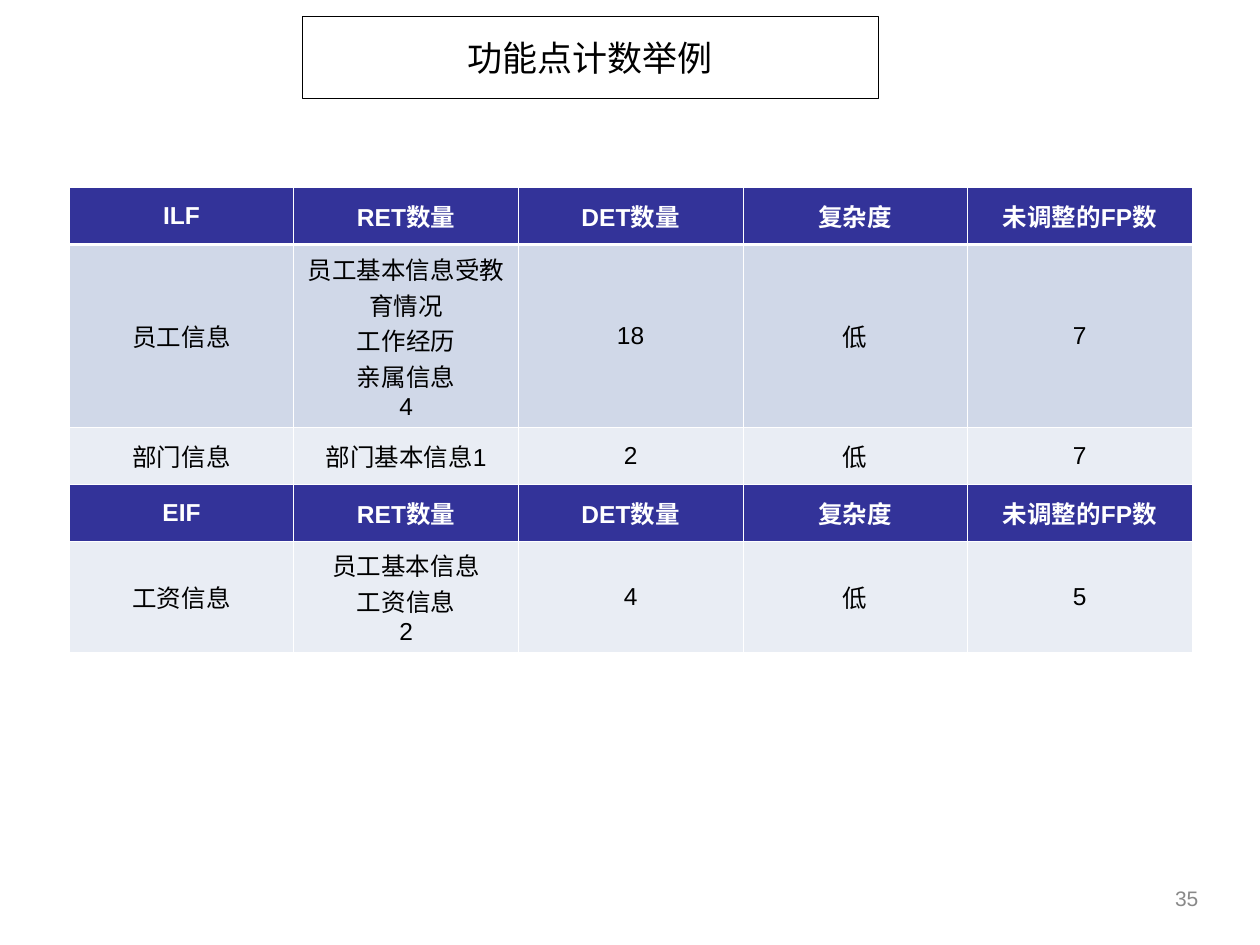
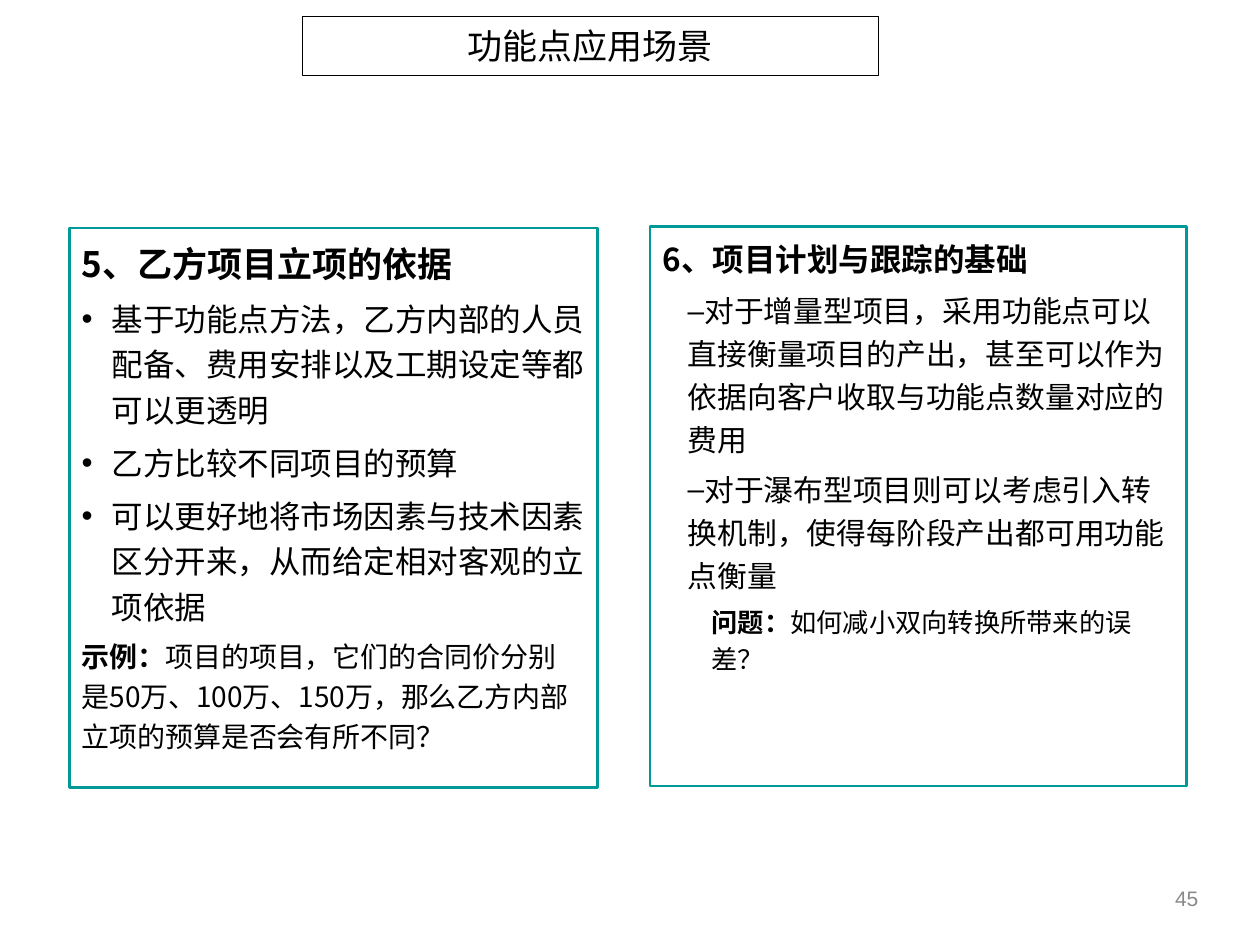
from lxml import etree
from pptx import Presentation
from pptx.dml.color import RGBColor
from pptx.enum.shapes import MSO_SHAPE as Shape
from pptx.enum.text import MSO_ANCHOR as Anchor, MSO_AUTO_SIZE as AutoSize, PP_ALIGN as Align
from pptx.oxml.ns import qn
from pptx.util import Inches, Pt

CJK, LATIN = "Noto Sans CJK SC", "Arial"
BLACK, WHITE, GREY = "000000", "FFFFFF", "898989"
NAVY, BLUE, PALE, TEAL = "333399", "D0D8E8", "E9EDF4", "009999"


def color(hex_text):
    return RGBColor.from_string(hex_text)


def add_span(para, text, size, ink=BLACK, name=CJK, bold=False):
    span = para.add_run()
    span.text = text
    for key, value in {"size": Pt(size), "name": name, "bold": bold}.items():
        setattr(span.font, key, value)
    span.font.color.rgb = color(ink)
    east_asian = etree.SubElement(span.font._element, qn("a:ea"))
    east_asian.set("typeface", CJK)


deck = Presentation()
deck.slide_width, deck.slide_height = Inches(10), Inches(7.5)

# Framed title and page number on both slides
pages = []
for title_text, title_height, number in [
    ("功能点计数举例", 0.65, "35"),
    ("功能点应用场景", 0.47, "45"),
]:
    page = deck.slides.add_slide(deck.slide_layouts[5])
    pages.append(page)
    title = page.shapes.title
    title.left, title.top = Inches(2.4), Inches(0.13)
    title.width, title.height = Inches(4.57), Inches(title_height)
    title.fill.solid()
    title.fill.fore_color.rgb = color(WHITE)
    title.line.color.rgb = color(BLACK)
    title.line.width = Pt(0.75)
    number_box = page.shapes.add_textbox(Inches(7.28), Inches(6.87), Inches(2.33), Inches(0.52))
    for box, text, align, style in [
        (title, title_text, Align.CENTER, {"size": 20}),
        (number_box, number, Align.RIGHT, {"size": 12, "ink": GREY, "name": LATIN}),
    ]:
        frame = box.text_frame
        frame.auto_size = AutoSize.NONE
        frame.word_wrap = True
        frame.vertical_anchor = Anchor.MIDDLE
        frame.paragraphs[0].alignment = align
        add_span(frame.paragraphs[0], text, **style)
table_page, scenario_page = pages

# Function point table: fill, height and cell texts of each row
headings = ["RET数量", "DET数量", "复杂度", "未调整的FP数"]
rows = [
    (NAVY, 0.45, ["ILF", *headings]),
    (BLUE, 1.27, ["员工信息", "员工基本信息受教育情况\n工作经历\n亲属信息\n4", "18", "低", "7"]),
    (PALE, 0.45, ["部门信息", "部门基本信息1", "2", "低", "7"]),
    (NAVY, 0.45, ["EIF", *headings]),
    (PALE, 0.8, ["工资信息", "员工基本信息\n工资信息\n2", "4", "低", "5"]),
]
table_width = Inches(8.91)
table = table_page.shapes.add_table(
    len(rows), 5, Inches(0.55), Inches(1.49), table_width, Inches(3.42)).table
for column in table.columns:
    column.width = table_width // 5
for row_index, (fill, height, texts) in enumerate(rows):
    table.rows[row_index].height = Inches(height)
    is_header = fill == NAVY
    for column_index, text in enumerate(texts):
        cell = table.cell(row_index, column_index)
        cell.vertical_anchor = Anchor.MIDDLE
        for line_index, line in enumerate(text.split("\n")):
            frame = cell.text_frame
            para = frame.add_paragraph() if line_index else frame.paragraphs[0]
            para.alignment = Align.CENTER
            add_span(para, line, 14, WHITE if is_header else BLACK, LATIN, is_header)
        # White borders, thicker under the first row
        cell_format = cell._tc.get_or_add_tcPr()
        for side in ["L", "R", "T", "B"]:
            thick = (row_index, side) in [(0, "B"), (1, "T")]
            border = etree.SubElement(cell_format, qn(f"a:ln{side}"))
            border.set("w", str(Pt(1.47 if thick else 0.45)))
            paint = etree.SubElement(border, qn("a:solidFill"))
            etree.SubElement(paint, qn("a:srgbClr")).set("val", WHITE)
        cell.fill.solid()
        cell.fill.fore_color.rgb = color(fill)

# Scenario panels: each paragraph is bold lead, text, size, space before, margin, indent, bullet
panels = [
    ((0.55, 1.81, 4.19, 4.44), [
        ("5、乙方项目立项的依据", "", 20, 0, 0, 0, None),
        ("", "基于功能点方法，乙方内部的人员配备、费用安排以及工期设定等都可以更透明",
         18, 4.5, 0.24, -0.24, "•"),
        ("", "乙方比较不同项目的预算", 18, 4.5, 0.24, -0.24, "•"),
        ("", "可以更好地将市场因素与技术因素区分开来，从而给定相对客观的立项依据",
         18, 4.5, 0.24, -0.24, "•"),
        ("示例：", "项目的项目，它们的合同价分别是50万、100万、150万，那么乙方内部立项的预算是否会有所不同？",
         16, 4, 0, 0, None),
    ]),
    ((5.16, 1.8, 4.26, 4.44), [
        ("6、项目计划与跟踪的基础", "", 18, 0, 0, 0, None),
        ("", "对于增量型项目，采用功能点可以直接衡量项目的产出，甚至可以作为依据向客户收取与功能点数量对应的费用",
         17, 4.2, 0.2, 0, "–"),
        ("", "对于瀑布型项目则可以考虑引入转换机制，使得每阶段产出都可用功能点衡量",
         17, 4.2, 0.2, 0, "–"),
        ("问题：", "如何减小双向转换所带来的误差？", 15, 3.7, 0.39, 0, None),
    ]),
]
for place, paragraphs in panels:
    panel = scenario_page.shapes.add_shape(Shape.RECTANGLE, *map(Inches, place))
    panel.shadow.inherit = False
    panel.fill.solid()
    panel.fill.fore_color.rgb = color(WHITE)
    panel.line.color.rgb = color(TEAL)
    panel.line.width = Pt(1.5)
    frame = panel.text_frame
    frame.word_wrap = True
    frame.vertical_anchor = Anchor.TOP
    for index, (lead, text, size, before, margin, indent, bullet) in enumerate(paragraphs):
        para = frame.add_paragraph() if index else frame.paragraphs[0]
        for key, value in {"alignment": Align.LEFT, "line_spacing": 1.2,
                           "space_before": Pt(before)}.items():
            setattr(para, key, value)
        para_format = para._p.get_or_add_pPr()
        right_margin = 0.02 if lead and text else 0
        for key, value in {"marL": Inches(margin), "marR": Inches(right_margin),
                           "indent": Inches(indent), "hangingPunct": 0}.items():
            para_format.set(key, str(value))
        if bullet:
            bullet_color = etree.SubElement(para_format, qn("a:buClr"))
            etree.SubElement(bullet_color, qn("a:srgbClr")).set("val", BLACK)
            etree.SubElement(para_format, qn("a:buFont")).set("typeface", LATIN)
            etree.SubElement(para_format, qn("a:buChar")).set("char", bullet)
        for part, bold in [(lead, True), (text, False)]:
            if part:
                add_span(para, part, size, bold=bold)

deck.save("out.pptx")
